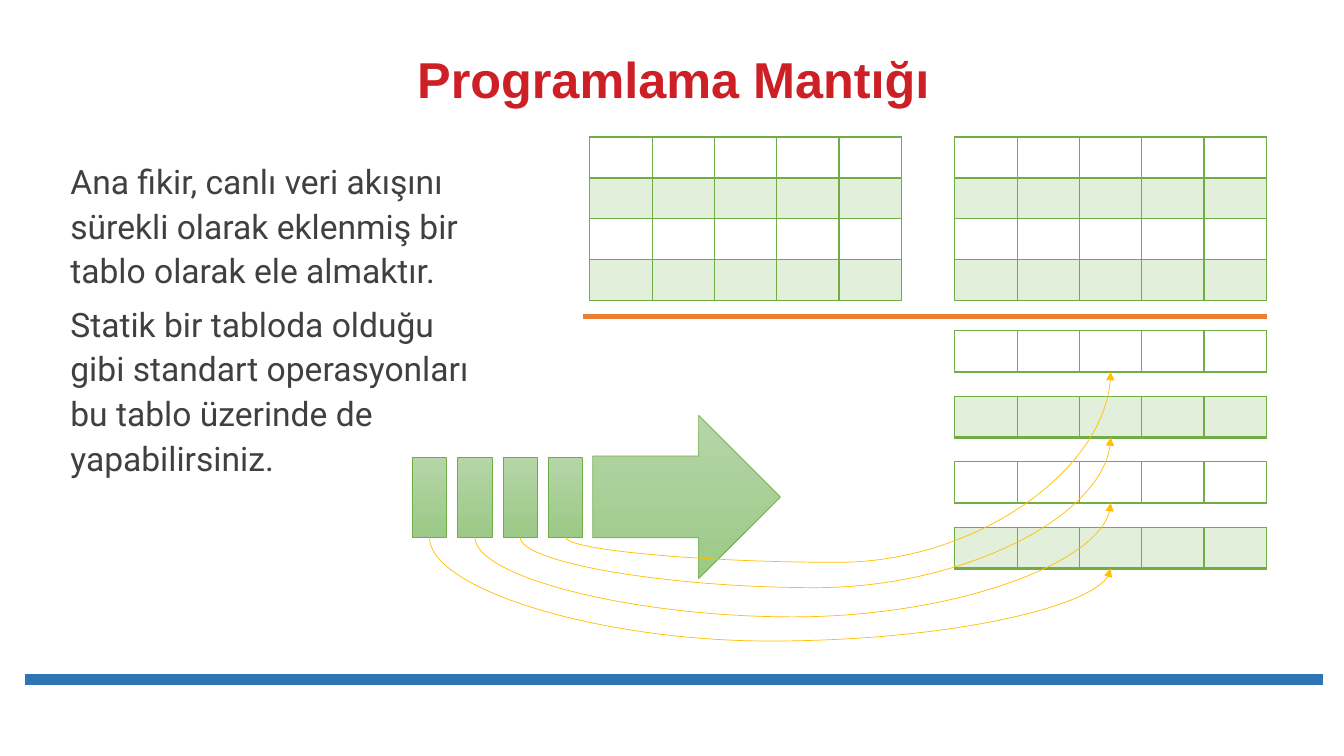
from lxml import etree
from pptx import Presentation
from pptx import util as u
from pptx.dml.color import RGBColor
from pptx.enum import shapes, text
from pptx.oxml.ns import qn

PX = 9144  # EMU in one px, 100 px to the inch

RED = RGBColor(0xCD, 0x1F, 0x26)
GREY = RGBColor(0x40, 0x40, 0x41)
BLUE = RGBColor(0x2E, 0x75, 0xB6)
ORANGE = RGBColor(0xED, 0x7D, 0x31)
GOLD = RGBColor(0xFF, 0xC0, 0x00)
GREEN = RGBColor(0x70, 0xAD, 0x47)
PALE_GREEN = RGBColor(0xE2, 0xEF, 0xDA)
GRADIENT = (RGBColor(0xB5, 0xD5, 0xA7), RGBColor(0x9C, 0xC9, 0x87))

TITLE = "Programlama Mantığı"
IDEAS = (
    "Ana fikir, canlı veri akışını sürekli olarak eklenmiş bir tablo olarak ele almaktır.",
    "Statik bir tabloda olduğu gibi standart operasyonları bu tablo üzerinde de yapabilirsiniz.",
)
COLUMNS = 5
BATCHES = 4


def emu(*lengths):
    return [u.Emu(round(length * PX)) for length in lengths]


def add_text(slide, box, paragraphs, font, size, color, bold=False):
    frame = slide.shapes.add_textbox(*emu(*box)).text_frame
    frame.word_wrap = True
    frame.text = "\n".join(paragraphs)
    for paragraph in frame.paragraphs:
        for run in paragraph.runs:
            run.font.name = font
            run.font.size = u.Pt(size)
            run.font.bold = bold
            run.font.color.rgb = color
    return frame


def add_title(slide, box):
    frame = add_text(slide, box, [TITLE], "Arial", 36, RED, bold=True)
    frame.vertical_anchor = text.MSO_ANCHOR.BOTTOM
    frame.paragraphs[0].alignment = text.PP_ALIGN.CENTER
    frame.paragraphs[0].line_spacing = 0.9


def add_ideas(slide, box):
    frame = add_text(slide, box, IDEAS, "Roboto", 24, GREY)
    for paragraph in frame.paragraphs:
        paragraph.line_spacing = u.Pt(32)
        paragraph.space_after = u.Pt(6)


def add_line(slide, kind, ends, color, width):
    line = slide.shapes.add_connector(kind, *emu(*ends))
    line.line.color.rgb = color
    line.line.width = u.Pt(width)
    etree.SubElement(line._element.spPr, qn("a:effectLst"))
    return line


def add_rule(slide, ends, color, width):
    add_line(slide, shapes.MSO_CONNECTOR.STRAIGHT, ends, color, width)


def set_borders(cell, top, bottom):
    properties = cell._tc.get_or_add_tcPr()
    for side, width in (("L", 1), ("R", 1), ("T", top), ("B", bottom)):
        border = etree.SubElement(properties, qn(f"a:ln{side}"), w=str(u.Pt(width)))
        fill = etree.SubElement(border, qn("a:solidFill"))
        etree.SubElement(fill, qn("a:srgbClr"), val=str(GREEN))


def add_grid(slide, box, rows, first_shaded=False):
    """Empty table with alternate rows shaded and a thick line under the first."""
    grid = slide.shapes.add_table(rows, COLUMNS, *emu(*box)).table
    grid.first_row = grid.horz_banding = False
    for r in range(rows):
        for c in range(COLUMNS):
            cell = grid.cell(r, c)
            cell.margin_top = cell.margin_bottom = 0
            set_borders(cell, top=2 if r == 1 else 1, bottom=2 if r == 0 else 1)
            if r % 2 != first_shaded:
                cell.fill.solid()
                cell.fill.fore_color.rgb = PALE_GREEN
            else:
                cell.fill.background()


def add_green_shape(slide, kind, box):
    shape = slide.shapes.add_shape(kind, *emu(*box))
    shape.shadow.inherit = False
    shape.fill.gradient()
    shape.fill.gradient_angle = 270
    for stop, color in zip(shape.fill.gradient_stops, GRADIENT):
        stop.color.rgb = color
    shape.line.color.rgb = GREEN
    shape.line.width = u.Pt(0.5)


def add_swoop(slide, start, end, lowest):
    """Curved arrow that leaves start downwards and rises to end from lowest."""
    (x1, y1), (x2, y2) = start, end
    across, along = x2 - x1, abs(y2 - y1)
    left, top = (x1 + x2 - along) / 2, (y1 + y2 - across) / 2
    swoop = add_line(slide, shapes.MSO_CONNECTOR.CURVE,
                     (left, top, left + along, top + across), GOLD, 0.5)
    frame = swoop._element.spPr.find(qn("a:xfrm"))
    frame.set("flipH", "1")
    if y2 > y1:
        frame.set("rot", str(270 * 60000))
    else:
        frame.set("rot", str(90 * 60000))
        frame.set("flipV", "1")
    geometry = swoop._element.spPr.find(qn("a:prstGeom"))
    guides = geometry.find(qn("a:avLst"))
    bend = round((lowest - y1) / (y2 - y1) * 100000)
    etree.SubElement(guides, qn("a:gd"), name="adj1", fmla=f"val {bend}")
    etree.SubElement(swoop.line._get_or_add_ln(), qn("a:tailEnd"), type="triangle")


def add_stream(slide, box):
    """Batches and arrow on the left, appended rows on the right, swoops between."""
    left, top, width, height = box
    strip_width, strip_height, strip_pitch = 309, 41, 65
    batch_width, batch_height, batch_pitch = 34, 79, 45
    batch_top = top + 126
    strip_left = left + width - strip_width
    add_green_shape(slide, shapes.MSO_SHAPE.RIGHT_ARROW, (left + 179, top + 84, 186, 162))
    swoops = []
    for i, depth in enumerate((25, 50, 79, 103)):
        strip_top = top + i * strip_pitch
        batch_left = left + (BATCHES - 1 - i) * batch_pitch
        add_grid(slide, (strip_left, strip_top, strip_width, strip_height), 1, i % 2 == 1)
        add_green_shape(slide, shapes.MSO_SHAPE.RECTANGLE,
                        (batch_left, batch_top, batch_width, batch_height))
        batch_bottom = batch_top + batch_height
        swoops.append(((batch_left + batch_width / 2, batch_bottom),
                       (strip_left + strip_width / 2, strip_top + strip_height),
                       batch_bottom + depth))
    for start, end, lowest in swoops:
        add_swoop(slide, start, end, lowest)


def main():
    deck = Presentation()
    deck.slide_width, deck.slide_height = emu(1333, 750)
    slide = deck.slides.add_slide(deck.slide_layouts[6])
    add_rule(slide, (25, 674, 1312, 674), BLUE, 8)
    add_title(slide, (324, 39, 688, 74))
    add_ideas(slide, (60, 150, 426, 329))
    for left in (585, 947):
        add_grid(slide, (left, 136, 309, 162), 4)
    add_rule(slide, (578, 314, 1257, 314), ORANGE, 3)
    add_stream(slide, (409, 328, 847, 308))
    deck.save("out.pptx")


if __name__ == "__main__":
    main()
